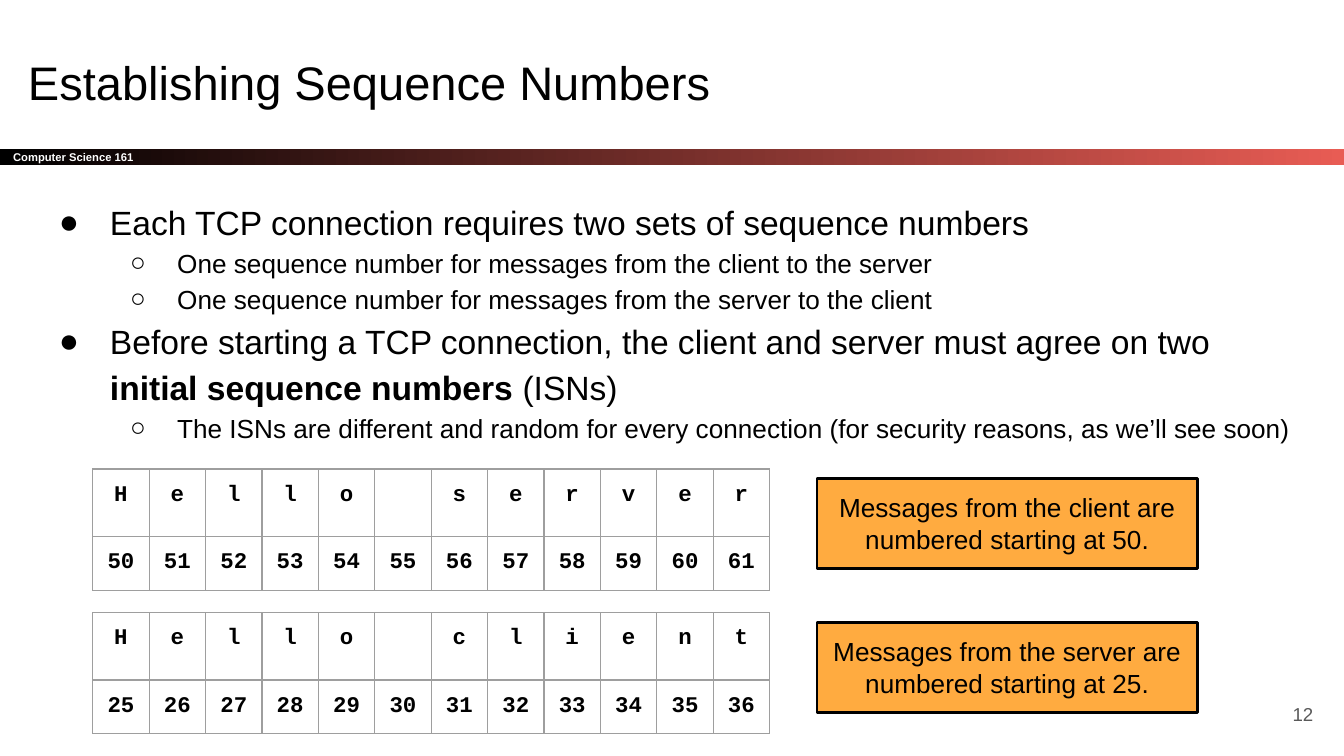
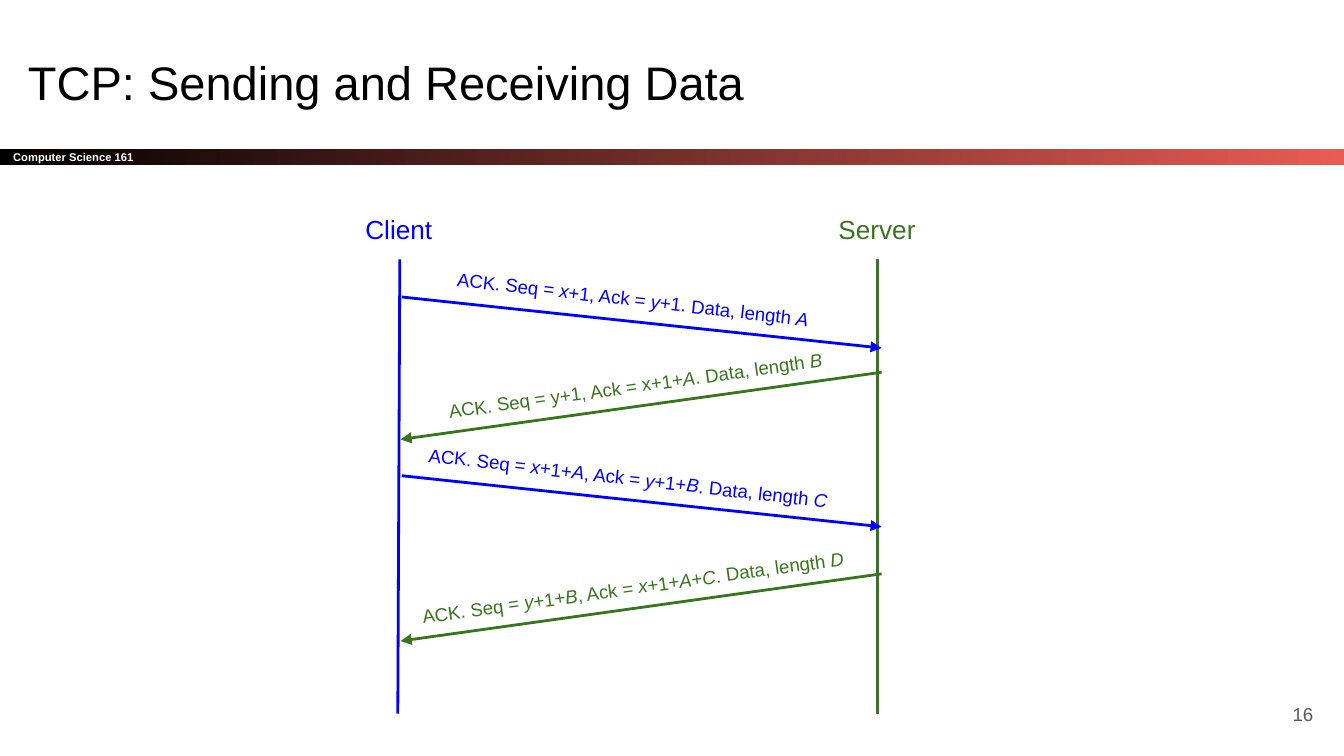
from dataclasses import dataclass
from typing import NamedTuple

from lxml.etree import SubElement
from pptx import Presentation
from pptx.dml.color import RGBColor
from pptx.enum.shapes import MSO_CONNECTOR, MSO_SHAPE
from pptx.enum.text import MSO_ANCHOR, PP_ALIGN
from pptx.oxml.ns import qn
from pptx.util import Inches, Pt

COLORS = {
    "black": "000000",
    "white": "FFFFFF",
    "red": "E85C54",
    "gray": "595959",
    "grid": "9E9E9E",
    "orange": "FFAB40",
    "client": "0000FF",
    "server": "38761D",
}
INSET = Inches(0.1)


class Area(NamedTuple):
    left: float
    top: float
    width: float
    height: float

    def lengths(self) -> list:
        return [Inches(value) for value in self]


class Bullet(NamedTuple):
    symbol: str
    level: int
    margin: float
    hanging: float
    size: float


@dataclass(frozen=True)
class Sequence:
    message: str
    first_number: int
    top: float
    note: str


@dataclass(frozen=True)
class Host:
    name: str
    color: str
    left: float
    width: float
    line_end: float


@dataclass(frozen=True)
class Direction:
    color: str
    start: float
    end: float
    drop: float
    label_rise: float
    rotation: float


@dataclass(frozen=True)
class Segment:
    direction: Direction
    top: float
    label_left: float
    label_width: float
    text: str


TOPIC = Bullet("●", 0, 0.5, -0.38, 18)
DETAIL = Bullet("○", 1, 1, -0.35, 14)
POINTS = [
    (TOPIC, "Each TCP connection requires two sets of sequence numbers"),
    (DETAIL, "One sequence number for messages from the client to the server"),
    (DETAIL, "One sequence number for messages from the server to the client"),
    (TOPIC, "Before starting a TCP connection, the client and server must agree on two "
            "*initial sequence numbers* (ISNs)"),
    (DETAIL, "The ISNs are different and random for every connection "
             "(for security reasons, as we’ll see soon)"),
]
SEQUENCES = [
    Sequence("Hello server", 50, 3.49, "Messages from the client are numbered starting at 50."),
    Sequence("Hello client", 25, 4.56, "Messages from the server are numbered starting at 25."),
]
HOSTS = [
    Host("Client", "client", 2.62, 0.71, 2.96),
    Host("Server", "server", 6.14, 0.78, 6.53),
]
TO_SERVER = Direction("client", 2.99, 6.56, 0.38, 0.15, 6.6)
TO_CLIENT = Direction("server", 6.56, 2.98, 0.5, 0.07, 352.1)
SEGMENTS = [
    Segment(TO_SERVER, 2.21, 2.97, 3.51,
            "ACK. Seq = *x*+1, Ack = *y*+1. Data, length *A *"),
    Segment(TO_CLIENT, 2.77, 3.1, 3.26,
            "ACK. Seq = y+1, Ack = x+1+*A*. Data, length *B*"),
    Segment(TO_SERVER, 3.54, 2.98, 3.42,
            "ACK. Seq = *x*+1+*A*, Ack = *y*+1+*B*. Data, length *C *"),
    Segment(TO_CLIENT, 4.27, 2.92, 3.62,
            "ACK. Seq = *y*+1+*B*, Ack = *x*+1+*A*+*C*. Data, length *D *"),
]


def rgb(name: str) -> RGBColor:
    return RGBColor.from_string(COLORS[name])


def write(paragraph, text: str, *, size: float, color: str = "black", font: str = "Arial",
          bold: bool = False, align=PP_ALIGN.LEFT, emphasis: str = "italic") -> None:
    paragraph.alignment = align
    for index, part in enumerate(text.split("*")):
        if not part:
            continue
        run = paragraph.add_run()
        run.text = part
        run.font.size = Pt(size)
        run.font.name = font
        run.font.color.rgb = rgb(color)
        run.font.bold = bold
        if index % 2:
            setattr(run.font, emphasis, True)


def set_insets(holder) -> None:
    holder.margin_left = holder.margin_right = INSET
    holder.margin_top = holder.margin_bottom = INSET


def prepare_frame(shape, anchor=MSO_ANCHOR.TOP):
    frame = shape.text_frame
    frame.word_wrap = True
    frame.vertical_anchor = anchor
    set_insets(frame)
    return frame


def add_text(slide, area: Area, text: str, anchor=MSO_ANCHOR.TOP, **text_format):
    box = slide.shapes.add_textbox(*area.lengths())
    write(prepare_frame(box, anchor).paragraphs[0], text, **text_format)
    return box


def add_rectangle(slide, area: Area):
    rectangle = slide.shapes.add_shape(MSO_SHAPE.RECTANGLE, *area.lengths())
    rectangle.shadow.inherit = False
    return rectangle


def add_line(slide, start: tuple, end: tuple, color: str, arrow: bool = False):
    line = slide.shapes.add_connector(
        MSO_CONNECTOR.STRAIGHT, *(Inches(value) for value in (*start, *end)))
    line.line.color.rgb = rgb(color)
    line.line.width = Pt(1.5)
    properties = line._element.spPr
    if arrow:
        SubElement(properties.find(qn("a:ln")), qn("a:tailEnd"), type="triangle")
    SubElement(properties, qn("a:effectLst"))
    return line


def add_course_slide(deck, title: str, number: int):
    slide = deck.slides.add_slide(deck.slide_layouts[6])
    band = add_rectangle(slide, Area(0, 1.11, 10, 0.12))
    band.line.fill.background()
    band.fill.gradient()
    band.fill.gradient_angle = 0
    for stop, position, color in zip(band.fill.gradient_stops, (0, 1), ("black", "red")):
        stop.position = position
        stop.color.rgb = rgb(color)
    write(prepare_frame(band, MSO_ANCHOR.MIDDLE).paragraphs[0], "Computer Science 161",
          size=6, color="white", bold=True)
    add_text(slide, Area(0.11, 0.3, 9.32, 0.63), title, size=25.2)
    add_text(slide, Area(9.27, 5.1, 0.6, 0.43), str(number), MSO_ANCHOR.MIDDLE,
             size=10, color="gray", align=PP_ALIGN.RIGHT)
    return slide


def set_bullet(paragraph, bullet: Bullet) -> None:
    paragraph.level = bullet.level
    paragraph.line_spacing = 1.15
    properties = paragraph._p.get_or_add_pPr()
    properties.set("marL", str(Inches(bullet.margin)))
    properties.set("indent", str(Inches(bullet.hanging)))
    bullet_color = SubElement(properties, qn("a:buClr"))
    SubElement(bullet_color, qn("a:srgbClr"), val=COLORS["black"])
    SubElement(properties, qn("a:buFont"), typeface="Arial")
    SubElement(properties, qn("a:buChar"), char=bullet.symbol)


def add_points(slide) -> None:
    body = slide.shapes.add_textbox(*Area(0.22, 1.36, 9.5, 2.23).lengths())
    frame = prepare_frame(body)
    for index, (bullet, text) in enumerate(POINTS):
        paragraph = frame.add_paragraph() if index else frame.paragraphs[0]
        set_bullet(paragraph, bullet)
        write(paragraph, text, size=bullet.size, emphasis="bold")


def format_cell(cell, text: str) -> None:
    set_insets(cell)
    properties = cell._tc.get_or_add_tcPr()
    for side in ("lnL", "lnR", "lnT", "lnB"):
        border = SubElement(properties, qn(f"a:{side}"), w=str(Pt(0.75)))
        fill = SubElement(border, qn("a:solidFill"))
        SubElement(fill, qn("a:srgbClr"), val=COLORS["grid"])
    cell.fill.background()
    paragraph = cell.text_frame.paragraphs[0]
    if text.strip():
        write(paragraph, text, size=12, font="Courier New", bold=True, align=PP_ALIGN.CENTER)
    else:
        blank_format = SubElement(paragraph._p, qn("a:endParaRPr"), sz="1800")
        SubElement(blank_format, qn("a:latin"), typeface="Arial")


def add_sequence(slide, sequence: Sequence) -> None:
    count = len(sequence.message)
    area = Area(0.69, sequence.top, 0.42 * count, 0.8)
    table = slide.shapes.add_table(2, count, *area.lengths()).table
    table.first_row = table.horz_banding = False
    for column, letter in enumerate(sequence.message):
        table.columns[column].width = Inches(0.42)
        format_cell(table.cell(0, column), letter)
        format_cell(table.cell(1, column), str(sequence.first_number + column))
    note = add_rectangle(slide, Area(6.08, sequence.top + 0.07, 2.83, 0.67))
    note.fill.solid()
    note.fill.fore_color.rgb = rgb("orange")
    note.line.color.rgb = rgb("black")
    note.line.width = Pt(1.5)
    write(prepare_frame(note).paragraphs[0], sequence.note, size=14, align=PP_ALIGN.CENTER)


def add_host(slide, host: Host) -> None:
    label = add_text(slide, Area(host.left, 1.49, host.width, 0.44), host.name,
                     size=14, color=host.color)
    lifeline = add_line(slide, (host.left + host.width / 2, 1.93), (host.line_end, 5.31),
                        host.color)
    lifeline.begin_connect(label, 2)


def add_segment(slide, segment: Segment) -> None:
    way = segment.direction
    add_line(slide, (way.start, segment.top), (way.end, segment.top + way.drop),
             way.color, arrow=True)
    area = Area(segment.label_left, segment.top - way.label_rise, segment.label_width, 0.37)
    label = add_text(slide, area, segment.text, size=10, color=way.color,
                     align=PP_ALIGN.CENTER)
    label.rotation = way.rotation


def main() -> None:
    deck = Presentation()
    deck.slide_width = Inches(10)
    deck.slide_height = Inches(10) * 9 // 16

    numbering = add_course_slide(deck, "Establishing Sequence Numbers", 12)
    add_points(numbering)
    for sequence in SEQUENCES:
        add_sequence(numbering, sequence)

    exchange = add_course_slide(deck, "TCP: Sending and Receiving Data", 16)
    for host in HOSTS:
        add_host(exchange, host)
    for segment in SEGMENTS:
        add_segment(exchange, segment)

    deck.save("out.pptx")


if __name__ == "__main__":
    main()
